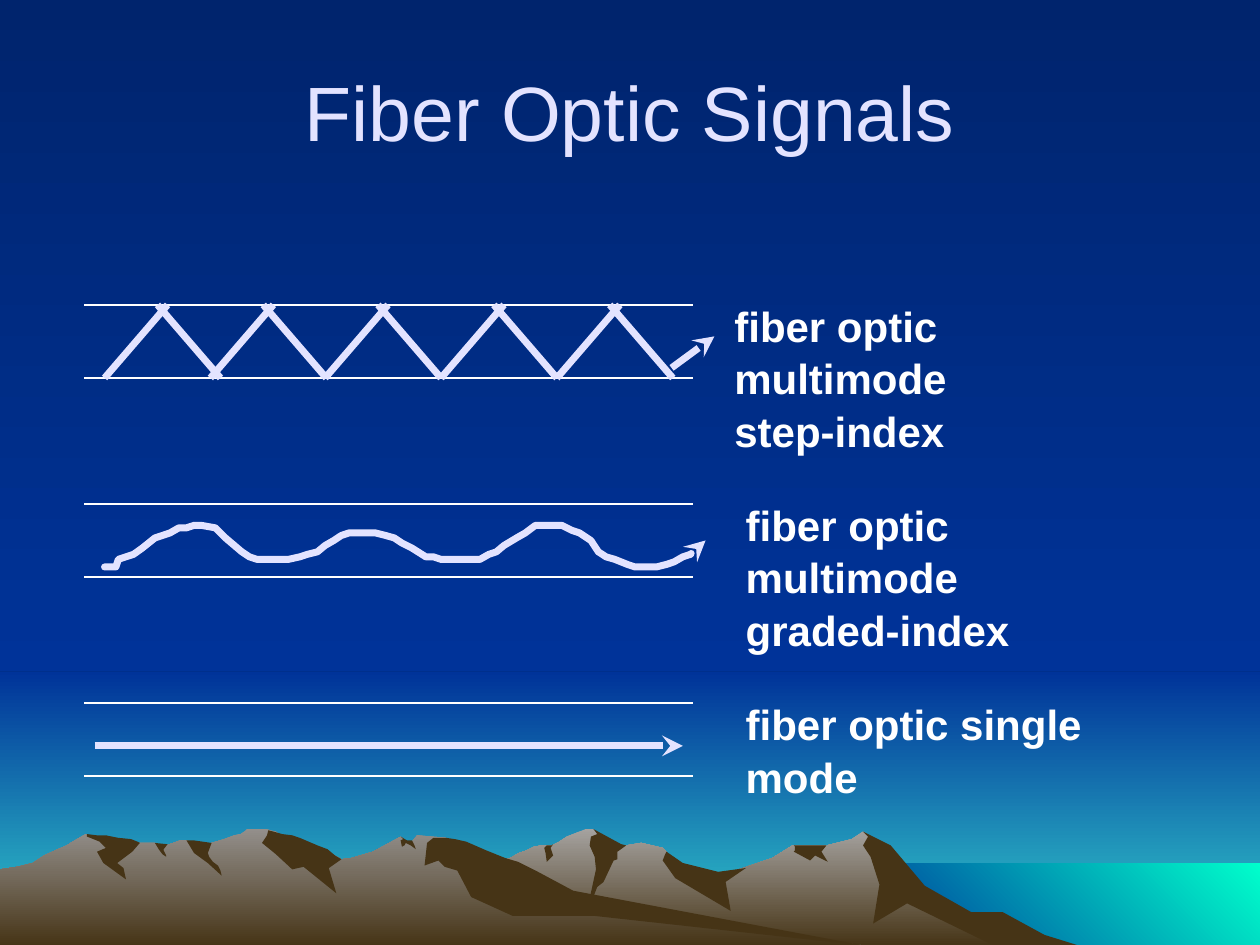
"""Build the slide on how light travels through three kinds of optical fiber."""
from lxml.etree import SubElement as Sub
from pptx import Presentation
from pptx.dml.color import RGBColor as Rgb
from pptx.enum.shapes import MSO_CONNECTOR as Conn, MSO_SHAPE as Shape
from pptx.enum.text import MSO_ANCHOR as Anchor, PP_ALIGN as Align
from pptx.oxml.ns import qn
from pptx.util import Inches, Pt

HUES = {
    "night": "00246D", "blue": "003399", "teal": "33CCCC", "green": "00FFCC",
    "stone": "A5A29F", "rock": "938F8B", "earth": "463416",
    "white": "FFFFFF", "ray": "E3E3FF",
}

RANGE = """8.02,7.4 7.78,7.27 7.64,7.23 7.23,6.98 7.02,6.71 6.85,6.6 6.76,6.66
6.56,6.71 6.29,6.71 6.13,6.81 5.66,6.97 5.36,6.9 5.29,6.76 5.26,6.73 5.09,6.69
4.97,6.71 4.86,6.73 4.74,6.61 4.71,6.58 4.65,6.58 4.5,6.64 4.44,6.68 4.38,6.71
4.3,6.71 4.24,6.72 4.18,6.75 4.12,6.77 4.05,6.81 3.99,6.83 3.94,6.85 3.55,6.98
3.27,7.09 2.77,7.39 2.58,7.51 8.21,7.51"""

RIDGE = """6.9,7.51 6.67,7.48 4.32,7.12 3.54,6.65 3.31,6.63 3.27,6.68 3.23,6.68
3.18,6.64 2.96,6.76 2.79,6.81 2.71,6.82 2.6,6.76 2.36,6.81 2.23,6.63 2.19,6.6
2.15,6.59 2.12,6.58 1.96,6.58 1.94,6.6 1.91,6.62 1.86,6.63 1.78,6.66 1.68,6.69
1.6,6.71 1.48,6.67 1.43,6.67 1.32,6.71 1.28,6.71 1.23,6.69 1.11,6.69 0.94,6.71
0.68,6.62 0.56,6.69 0.53,6.71 0.46,6.74 0.35,6.79 0.26,6.85 0.14,6.88 0,6.9
0,7.51"""

FAR = [
    """7.96,7.24 7.71,7.24 7.34,7.03 7.07,6.71 6.85,6.6 6.89,6.64 6.85,6.71
    6.91,6.8 6.98,7.02 6.93,7.33 7.2,7.17 7.92,7.52 8.58,7.51 8.29,7.42""",
    """4.71,6.58 4.74,6.62 4.69,6.64 4.68,6.71 4.72,6.8 4.73,6.9 4.65,7.27
    4.74,7.04 4.79,7 4.87,6.83 4.9,6.82 4.9,6.76 4.97,6.71 4.93,6.7""",
    """5.29,6.76 5.28,6.78 5.26,6.83 5.36,6.97 5.8,7.23 5.76,7 5.92,6.89
    5.7,6.92 5.42,6.85""",
    """6.5,6.71 6.3,6.71 6.31,6.72 6.31,6.75 6.3,6.76 6.43,6.83 6.47,6.79
    6.57,6.84 6.52,6.76 6.56,6.71""",
    """4.33,6.77 4.32,6.73 4.34,6.71 4.38,6.71 4.39,6.7 4.37,6.73 4.39,6.79
    4.34,6.84""",
]

NEAR = [
    """2.12,6.63 2.08,6.69 2.19,6.78 2.32,6.9 2.41,6.88 2.67,7.09 2.61,6.89
    2.71,6.82 2.66,6.79 2.6,6.74 2.52,6.71 2.45,6.68 2.38,6.65 2.32,6.63
    2.24,6.62 2.17,6.6 2.13,6.59""",
    """3.7,6.68 3.61,6.66 3.54,6.65 3.44,6.65 3.39,6.69 3.37,6.87 3.48,6.83
    3.53,6.88 3.63,6.91 3.74,7.12 4.07,7.27 4.72,7.27 6.9,7.51 6.83,7.5
    4.55,7.07 4.27,6.92 4.11,6.84 4.01,6.81 3.86,6.75""",
    """3.18,6.67 3.2,6.66 3.18,6.64 3.23,6.67 3.27,6.67 3.29,6.71 3.3,6.74
    3.26,6.71 3.22,6.69 3.21,6.71 3.19,6.72""",
    """1.54,6.67 1.61,6.68 1.68,6.69 1.65,6.77 1.66,6.8 1.69,6.84 1.73,6.87
    1.75,6.91 1.76,6.95 1.65,6.85 1.54,6.77 1.48,6.67""",
    """1.33,6.7 1.3,6.74 1.3,6.75 1.32,6.79 1.32,6.8 1.29,6.78 1.26,6.74
    1.23,6.69""",
    """1.09,6.68 1.11,6.69 1.05,6.76 0.93,6.85 0.98,6.89 1,6.98 0.82,6.85
    0.77,6.76 0.84,6.73 0.79,6.68 0.69,6.64 0.69,6.62 0.77,6.63 0.84,6.63
    0.94,6.65 1.04,6.66""",
]

WAVE = """0.83,4.5 0.92,4.5 0.94,4.44 1,4.42 1.06,4.4 1.13,4.35 1.23,4.27
1.29,4.25 1.35,4.23 1.42,4.19 1.48,4.19 1.54,4.17 1.6,4.17 1.71,4.19 1.79,4.27
1.92,4.38 1.98,4.42 2.04,4.44 2.29,4.44 2.38,4.42 2.44,4.4 2.52,4.38 2.58,4.33
2.65,4.29 2.71,4.25 2.77,4.23 2.98,4.23 3.06,4.25 3.13,4.27 3.19,4.31 3.27,4.35
3.38,4.42 3.44,4.42 3.5,4.44 3.81,4.44 3.88,4.4 3.94,4.38 4,4.33 4.1,4.27
4.17,4.23 4.25,4.17 4.46,4.17 4.54,4.21 4.6,4.23 4.69,4.29 4.75,4.38 4.81,4.42
4.88,4.44 4.98,4.48 5.04,4.5 5.21,4.5 5.29,4.48 5.35,4.46 5.42,4.42 5.48,4.4
5.54,4.33 5.6,4.29"""


def tint(hue):
    """Give the colour of a named hue."""
    return Rgb.from_string(HUES[hue])


def paint(fill, hues, angle=270):
    """Fill with one hue, or with a gradient between two."""
    if len(hues) == 1:
        fill.solid()
        fill.fore_color.rgb = tint(hues[0])
        return
    fill.gradient()
    fill.gradient_angle = angle
    for stop, hue in zip(fill.gradient_stops, hues):
        stop.color.rgb = tint(hue)


def stroke(shape, hue, width, head=False, soft=False):
    """Style a line, with an arrowhead or round ends if asked."""
    shape.line.color.rgb = tint(hue)
    shape.line.width = Pt(width)
    props = shape._element.spPr
    ln = props.find(qn("a:ln"))
    if soft:
        ln.set("cap", "rnd")
        Sub(ln, qn("a:round"))
    if head:
        Sub(ln, qn("a:tailEnd"), type="stealth")


def band(slide, box, hues, angle=270):
    """Draw a borderless gradient rectangle."""
    shape = slide.shapes.add_shape(Shape.RECTANGLE, *map(Inches, box))
    shape.shadow.inherit = False
    shape.line.fill.background()
    paint(shape.fill, hues, angle)


def trace(slide, text, close=True):
    """Draw a freeform through the points listed in a text."""
    dots = [tuple(Inches(float(n)) for n in pair.split(","))
            for pair in text.split()]
    pen = slide.shapes.build_freeform(*dots[0])
    pen.add_line_segments(dots[1:], close=close)
    shape = pen.convert_to_shape()
    shape.shadow.inherit = False
    return shape


def hill(slide, text, *hues):
    """Draw a filled piece of the mountains."""
    shape = trace(slide, text)
    shape.line.fill.background()
    paint(shape.fill, hues)


def line(slide, ends, hue="ray", width=4, head=False):
    """Draw a straight line or arrow."""
    shape = slide.shapes.add_connector(Conn.STRAIGHT, *map(Inches, ends))
    stroke(shape, hue, width, head)
    Sub(shape._element.spPr, qn("a:effectLst"))


def write(slide, box, lines, hue, size, bold=False, **form):
    """Write paragraphs in a wrapped text box."""
    frame = slide.shapes.add_textbox(*map(Inches, box)).text_frame
    frame.word_wrap = True
    frame.vertical_anchor = form.pop("anchor", Anchor.TOP)
    frame.text = "\n".join(lines)
    font = {"name": "Arial", "size": Pt(size), "bold": bold}
    for para in frame.paragraphs:
        for key, value in form.items():
            setattr(para, key, value)
        for key, value in font.items():
            setattr(para.font, key, value)
        para.font.color.rgb = tint(hue)


def scene(slide):
    """Draw the sky, the sea and the mountains."""
    paint(slide.background.fill, ("night", "blue"))
    band(slide, (0, 5.33, 10, 2.17), ("blue", "teal"))
    band(slide, (0, 0, 10, 5.33), ("night", "blue"))
    band(slide, (6.83, 6.85, 3.17, 0.67), ("blue", "green"), 45)
    hill(slide, RANGE, "stone", "earth")
    for text in FAR:
        hill(slide, text, "earth")
    hill(slide, RIDGE, "rock", "earth")
    for text in NEAR:
        hill(slide, text, "earth")


def rays(slide):
    """Draw the fiber walls and the light inside each fiber."""
    for top in (2.42, 4, 5.58):
        for y in (top, top + 0.58):
            line(slide, (0.67, y, 5.5, y), "white", 1)
    for x in (0.83, 1.67, 2.58, 3.5, 4.42):
        line(slide, (x, 3, x + 0.5, 2.42))
        line(slide, (x + 0.92, 3, x + 0.42, 2.42))
    line(slide, (5.33, 2.92, 5.67, 2.67), head=True)
    wave = trace(slide, WAVE, close=False)
    wave.fill.background()
    stroke(wave, "ray", 4, head=True, soft=True)
    line(slide, (0.75, 5.92, 5.42, 5.92), head=True)


def main():
    """Build and save the slide."""
    deck = Presentation()
    deck.slide_width, deck.slide_height = Inches(10), Inches(7.5)
    slide = deck.slides.add_slide(deck.slide_layouts[6])
    scene(slide)
    rays(slide)
    for box, lines in (
        ((5.73, 2.32, 3.55, 0.9), ("fiber optic multimode", "step-index")),
        ((5.82, 3.9, 3.55, 0.9), ("fiber optic multimode", "graded-index")),
        ((5.82, 5.48, 3.8, 0.5), ("fiber optic single mode",)),
    ):
        write(slide, box, lines, "white", 24, True, line_spacing=1.04)
    write(slide, (0.5, 0.25, 9, 1.25), ("Fiber Optic Signals",), "ray", 44,
          anchor=Anchor.MIDDLE, alignment=Align.CENTER)
    deck.save("out.pptx")


if __name__ == "__main__":
    main()
